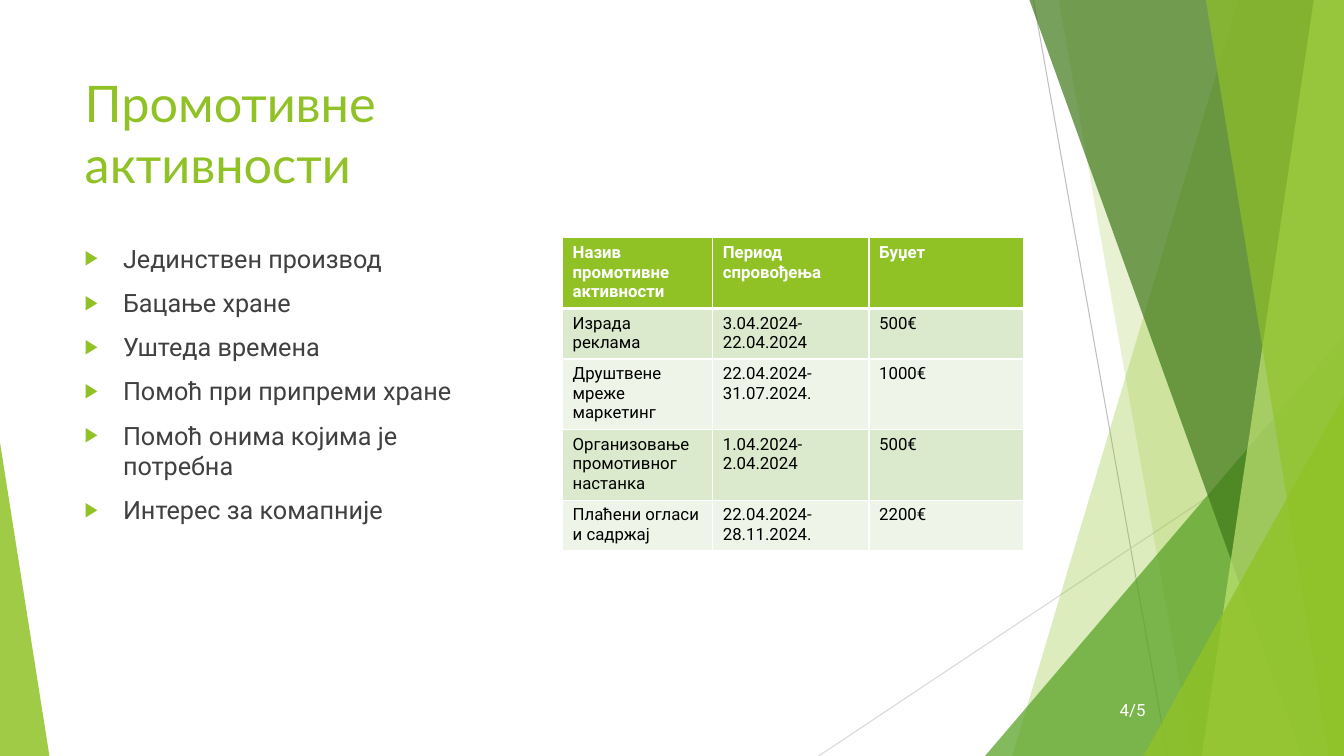
import lxml.etree
import pptx
import pptx.dml.color
import pptx.enum.shapes
import pptx.enum.text
import pptx.oxml.ns
import pptx.util

Inches = pptx.util.Inches
Pt = pptx.util.Pt
qn = pptx.oxml.ns.qn

WIDTH, HEIGHT = 13.33, 7.5
COLORS = {
    "lime": "90C226", "green": "54A021", "forest": "3F7819", "pale": "C0E474",
    "line": "BFBFBF", "faint_line": "D9D9D9", "text": "404040",
    "black": "000000", "white": "FFFFFF", "band_dark": "DBE9CD", "band_light": "EEF4E8",
}
TITLE = "Промотивне активности"
BENEFITS = [
    "Јединствен производ", "Бацање хране", "Уштеда времена",
    "Помоћ при припреми хране", "Помоћ онима којима је потребна",
    "Интерес за комапније",
]
ACTIVITIES = [
    ["Назив промотивне активности", "Период спровођења", "Буџет"],
    ["Израда реклама", "3.04.2024-22.04.2024", "500€"],
    ["Друштвене мреже маркетинг", "22.04.2024-31.07.2024.", "1000€"],
    ["Организовање промотивног настанка", "1.04.2024-2.04.2024", "500€"],
    ["Плаћени огласи и садржај", "22.04.2024-28.11.2024.", "2200€"],
]


def rgb(name):
    return pptx.dml.color.RGBColor.from_string(COLORS[name])


def add_child(parent, tag, **attributes):
    child = lxml.etree.SubElement(parent, qn(tag))
    for key, value in attributes.items():
        child.set(key, str(value))
    return child


def style_runs(para, size, color, font="Roboto", bold=False):
    for span in para.runs:
        span.font.size = Pt(size)
        span.font.name = font
        span.font.bold = bold
        span.font.color.rgb = rgb(color)


def paint(shape, color, opacity):
    shape.shadow.inherit = False
    shape.fill.solid()
    shape.fill.fore_color.rgb = rgb(color)
    shape.line.fill.background()
    color_element = shape.fill._xPr.find(qn("a:solidFill"))[0]
    add_child(color_element, "a:alpha", val=opacity * 1000)


def add_thin_line(page, start, end, color):
    line = page.shapes.add_connector(
        pptx.enum.shapes.MSO_CONNECTOR.STRAIGHT, *map(Inches, start + end))
    line.line.color.rgb = rgb(color)
    line.line.width = Pt(0.75)
    add_child(line._element.spPr, "a:effectLst")


def add_facet(page, top_left, bottom_left, color, opacity):
    """Full-height facet with a slanted left edge, ending at the right slide edge."""
    builder = page.shapes.build_freeform(Inches(top_left), 0, scale=1.0)
    corners = [(WIDTH, 0), (WIDTH, HEIGHT), (bottom_left, HEIGHT)]
    builder.add_line_segments([(Inches(x), Inches(y)) for x, y in corners], close=True)
    paint(builder.convert_to_shape(), color, opacity)


def add_corner(page, left, top, width, apex, color, opacity):
    """Triangle standing on the bottom edge of the slide."""
    triangle = page.shapes.add_shape(
        pptx.enum.shapes.MSO_SHAPE.ISOSCELES_TRIANGLE,
        *map(Inches, (left, top, width, HEIGHT - top)))
    triangle.adjustments[0] = apex
    paint(triangle, color, opacity)


def add_backdrop(page):
    add_thin_line(page, (10.25, 0), (11.58, HEIGHT), "line")
    add_thin_line(page, (WIDTH, 4.03), (8.12, HEIGHT), "faint_line")
    add_facet(page, 12.28, 10.04, "lime", 30)
    add_facet(page, 10.5, 11.83, "lime", 20)
    add_corner(page, 9.77, 3.33, 3.56, 1, "green", 72)
    add_facet(page, 10.21, 12.91, "forest", 70)
    add_facet(page, 13.03, 11.92, "pale", 70)
    add_facet(page, 11.96, 13.18, "lime", 65)
    add_corner(page, 11.34, 3.93, 1.99, 1, "lime", 80)
    add_corner(page, 0, 4.39, 0.49, 0, "lime", 85)


def place_placeholder(placeholder, box, text):
    # Bring the placeholder in front of the backdrop
    placeholder._element.getparent().append(placeholder._element)
    placeholder.left, placeholder.top, placeholder.width, placeholder.height = map(Inches, box)
    frame = placeholder.text_frame
    frame.text = text
    frame.word_wrap = True
    frame.auto_size = pptx.enum.text.MSO_AUTO_SIZE.NONE
    frame.vertical_anchor = pptx.enum.text.MSO_ANCHOR.TOP
    return frame


def add_title(page, box):
    para = place_placeholder(page.shapes.title, box, TITLE).paragraphs[0]
    para.alignment = pptx.enum.text.PP_ALIGN.LEFT
    style_runs(para, 36, "lime", "Lato")


def add_benefits(page, box):
    frame = place_placeholder(page.placeholders[1], box, "\n".join(BENEFITS))
    for para in frame.paragraphs:
        para.space_before = Pt(10)
        style_runs(para, 18, "text")
        properties = para._p.get_or_add_pPr()
        properties.set("marL", str(Inches(0.38)))
        properties.set("indent", str(-Inches(0.38)))
        bullet_color = add_child(properties, "a:buClr")
        add_child(bullet_color, "a:srgbClr", val=COLORS["lime"])
        add_child(properties, "a:buSzPct", val=80000)
        add_child(properties, "a:buChar", char="▶")


def set_borders(cell, bottom_width):
    properties = cell._tc.get_or_add_tcPr()
    sides = {"L": 1, "R": 1, "T": 1, "B": bottom_width}
    for position, (side, width) in enumerate(sides.items()):
        border = add_child(properties, f"a:ln{side}", w=Pt(width))
        add_child(add_child(border, "a:solidFill"), "a:srgbClr", val=COLORS["white"])
        # Borders come before the cell fill
        properties.insert(position, border)


def add_activities(page, box, column_widths, row_height):
    table = page.shapes.add_table(
        len(ACTIVITIES), len(column_widths), *map(Inches, box)).table
    for column, width in zip(table.columns, column_widths):
        column.width = Inches(width)
    for row_index, values in enumerate(ACTIVITIES):
        table.rows[row_index].height = Inches(row_height)
        header = row_index == 0
        band = "band_dark" if row_index % 2 else "band_light"
        for column_index, value in enumerate(values):
            cell = table.cell(row_index, column_index)
            cell.text_frame.text = value
            style_runs(cell.text_frame.paragraphs[0], 12,
                       "white" if header else "black", bold=header)
            cell.fill.solid()
            cell.fill.fore_color.rgb = rgb("lime" if header else band)
            set_borders(cell, 3 if header else 1)


def add_page_number(page, box):
    frame = page.shapes.add_textbox(*map(Inches, box)).text_frame
    frame.word_wrap = True
    frame.vertical_anchor = pptx.enum.text.MSO_ANCHOR.MIDDLE
    frame.text = "4/5"
    para = frame.paragraphs[0]
    para.alignment = pptx.enum.text.PP_ALIGN.RIGHT
    para.space_after = Pt(6)
    style_runs(para, 12, "white")


def main():
    deck = pptx.Presentation()
    deck.slide_width, deck.slide_height = Inches(WIDTH), Inches(HEIGHT)
    page = deck.slides.add_slide(deck.slide_layouts[1])
    add_backdrop(page)
    add_title(page, (0.74, 0.67, 4.21, 1.44))
    add_benefits(page, (0.74, 2.36, 4.21, 4.24))
    add_page_number(page, (10.71, 6.84, 0.75, 0.4))
    add_activities(page, (5.58, 2.36, 4.57, 2.05), (1.49, 1.55, 1.53), 0.41)
    deck.save("out.pptx")


if __name__ == "__main__":
    main()
